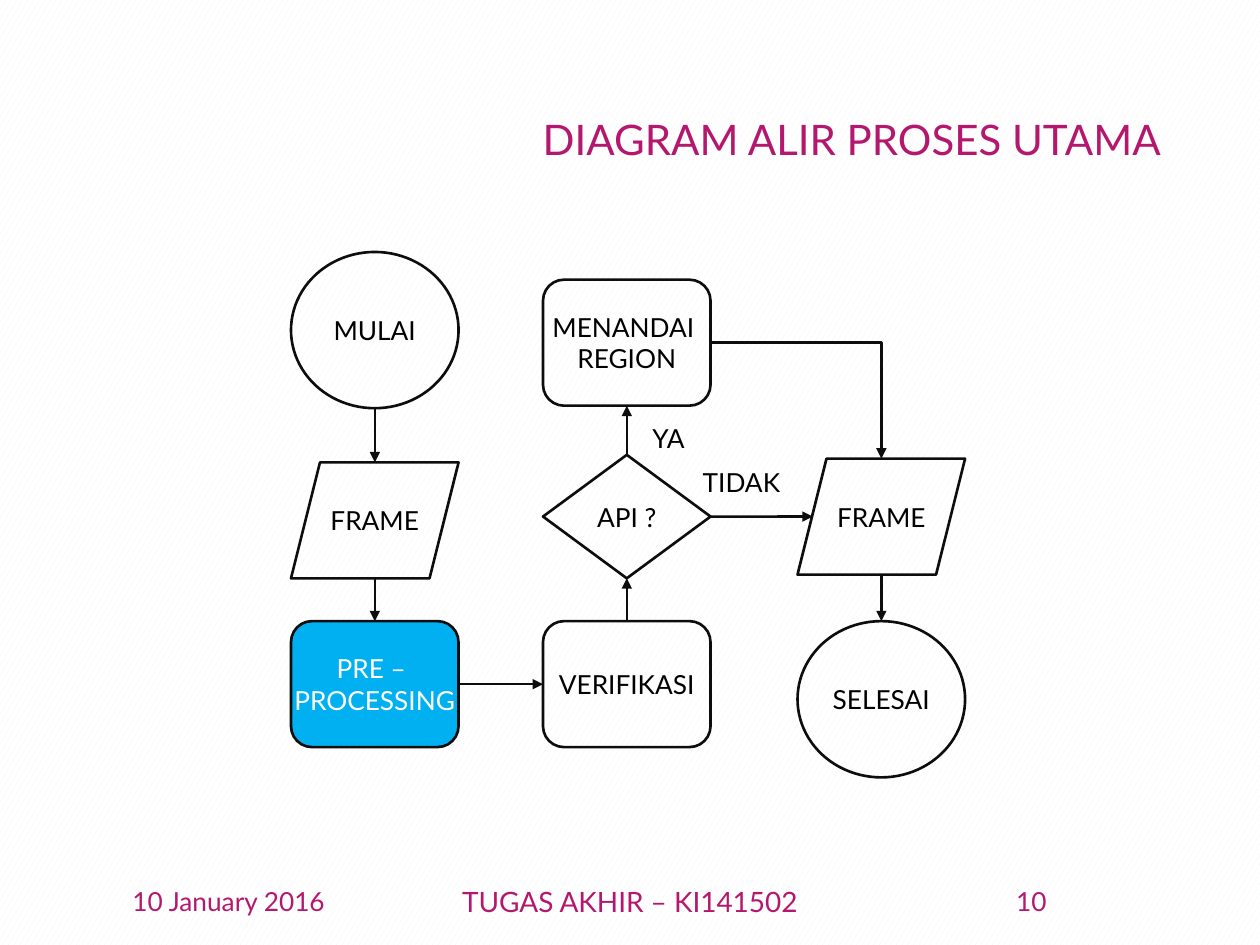
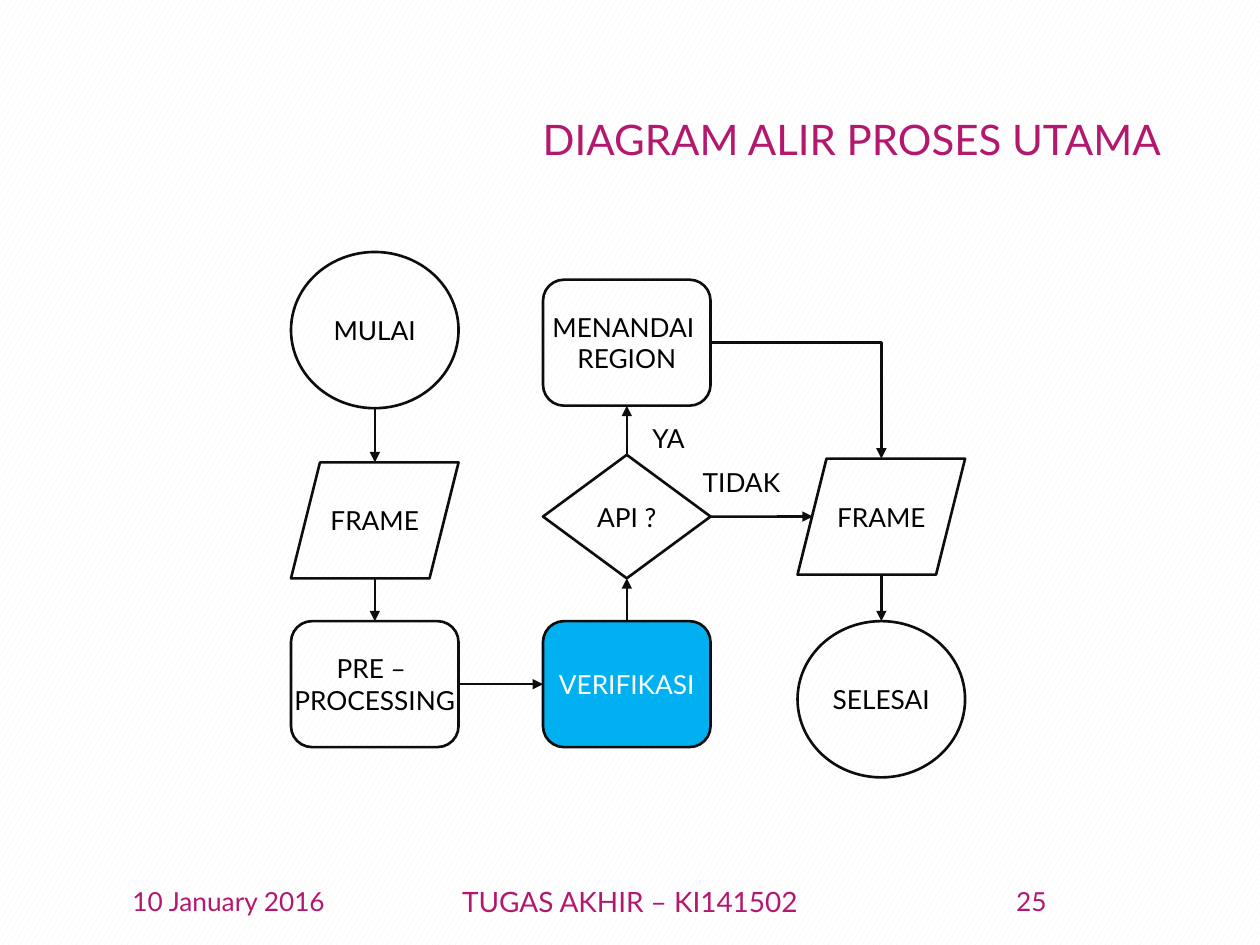
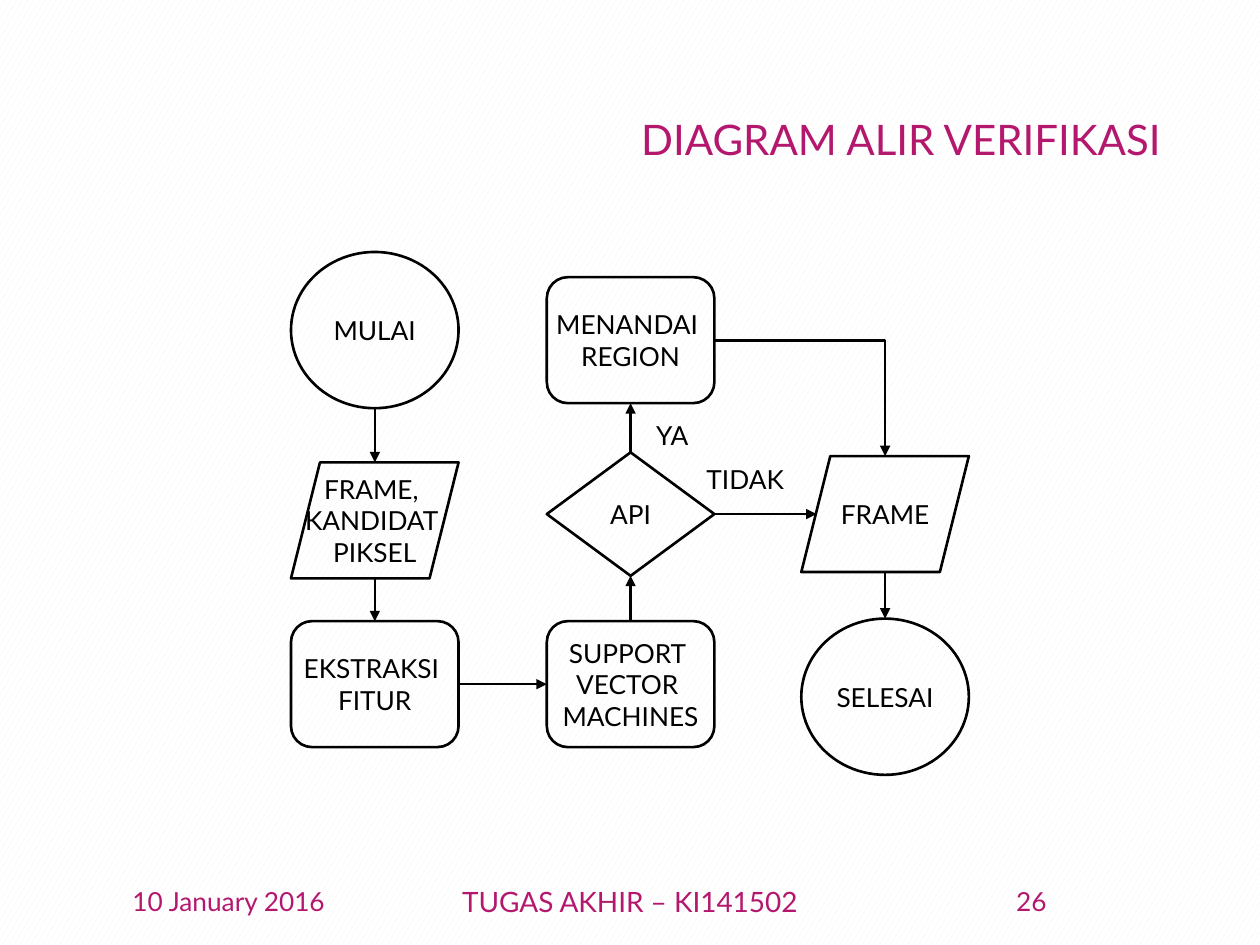
import pptx
import pptx.dml.color
import pptx.enum.dml
import pptx.enum.shapes
import pptx.enum.text
import pptx.oxml
import pptx.oxml.ns
import pptx.util
from dataclasses import dataclass

Inches = pptx.util.Inches
SHAPE = pptx.enum.shapes.MSO_SHAPE
CONNECTOR = pptx.enum.shapes.MSO_CONNECTOR
ALIGN = pptx.enum.text.PP_ALIGN
ANCHOR = pptx.enum.text.MSO_ANCHOR
AUTO_SIZE = pptx.enum.text.MSO_AUTO_SIZE
TOP, LEFT, BOTTOM, RIGHT = range(4)


@dataclass(frozen=True)
class Theme:
    font: str = "Lato"
    accent: str = "B4186E"
    ink: str = "000000"
    soft_ink: str = "0D0D0D"
    paper: str = "FFFFFF"
    confetti: str = "F2F2F2"
    highlight: str = "00B0F0"
    title_size: int = 24
    footer_size: int = 16
    body_size: int = 15
    line_width: float = 1.5


THEME = Theme()
TITLE_BOX = (0.69, 0.4, 8.62, 1.45)
FOOTER_BOX = (0.69, 6.95, 8.62, 0.4)
FLOW_BOX = (2.31, 2.0, 5.35, 4.17)

# Flow steps: outline, left and top within the flow, height
STEP_WIDTH = 1.33
SKEW = 0.12
STEPS = {
    "start": (SHAPE.OVAL, 0, 0, 1.24),
    "input": (SHAPE.PARALLELOGRAM, 0, 1.67, 0.92),
    "prepare": (SHAPE.ROUNDED_RECTANGLE, 0, 2.93, 1),
    "verify": (SHAPE.ROUNDED_RECTANGLE, 2, 2.93, 1),
    "decide": (SHAPE.DIAMOND, 2, 1.61, 0.98),
    "mark": (SHAPE.ROUNDED_RECTANGLE, 2, 0.22, 1),
    "output": (SHAPE.PARALLELOGRAM, 4.02, 1.64, 0.92),
    "end": (SHAPE.OVAL, 4.02, 2.93, 1.24),
}
ARROWS = [
    ("start", BOTTOM, "input", TOP),
    ("input", BOTTOM, "prepare", TOP),
    ("prepare", RIGHT, "verify", LEFT),
    ("verify", TOP, "decide", BOTTOM),
    ("decide", TOP, "mark", BOTTOM),
    ("mark", RIGHT, "output", TOP),
    ("decide", RIGHT, "output", LEFT),
    ("output", BOTTOM, "end", TOP),
]
ANSWERS = {"YA": (2.33, 1.3), "TIDAK": (2.91, 1.65)}
JOINED_OUTLINES = (SHAPE.ROUNDED_RECTANGLE, SHAPE.DIAMOND)

MAIN_LABELS = {
    "start": "MULAI", "input": "FRAME", "prepare": "PRE – \nPROCESSING",
    "verify": "VERIFIKASI", "decide": "API ?", "mark": "MENANDAI \nREGION",
    "output": "FRAME", "end": "SELESAI",
}
VERIFY_LABELS = MAIN_LABELS | {
    "input": "FRAME, \nKANDIDAT \nPIKSEL", "prepare": "EKSTRAKSI \nFITUR",
    "verify": "SUPPORT \nVECTOR \nMACHINES", "decide": "API",
}


def rgb(color):
    return pptx.dml.color.RGBColor.from_string(color)


def set_values(target, values):
    for name, value in values.items():
        setattr(target, name, value)


def write(frame, text, size, color, align=ALIGN.CENTER, spacing=None, **layout):
    set_values(frame, {"word_wrap": True, "vertical_anchor": ANCHOR.MIDDLE} | layout)
    frame.text = text
    for paragraph in frame.paragraphs:
        set_values(paragraph, {"alignment": align, "line_spacing": spacing})
        set_values(paragraph.font, {"name": THEME.font, "size": pptx.util.Pt(size)})
        paragraph.font.color.rgb = rgb(color)


def add_text(slide, box, text, size, color, **layout):
    area = slide.shapes.add_textbox(*map(Inches, box))
    write(area.text_frame, text, size, color, **layout)


def set_line(line, color):
    line.color.rgb = rgb(color)
    line.width = pptx.util.Pt(THEME.line_width)


def add_step(slide, outline, box, label, line_color, highlighted):
    step = slide.shapes.add_shape(outline, *map(Inches, box))
    step.shadow.inherit = False
    if highlighted:
        step.fill.solid()
        step.fill.fore_color.rgb = rgb(THEME.highlight)
    else:
        step.fill.background()
    set_line(step.line, line_color)
    write(step.text_frame, label, THEME.body_size,
          THEME.paper if highlighted else THEME.ink, word_wrap=False)
    return step


def side_point(step, side):
    middle_x, middle_y = step.left + step.width // 2, step.top + step.height // 2
    skew = Inches(SKEW) if step.auto_shape_type == SHAPE.PARALLELOGRAM else 0
    return {
        TOP: (middle_x, step.top),
        LEFT: (step.left + skew, middle_y),
        BOTTOM: (middle_x, step.top + step.height),
        RIGHT: (step.left + step.width - skew, middle_y),
    }[side]


def add_arrow(slide, source, source_side, target, target_side, color):
    bent = source_side == RIGHT and target_side == TOP
    arrow = slide.shapes.add_connector(
        CONNECTOR.ELBOW if bent else CONNECTOR.STRAIGHT,
        *side_point(source, source_side), *side_point(target, target_side))
    set_line(arrow.line, color)
    properties = arrow.element.spPr
    if bent:
        properties.find(pptx.oxml.ns.qn("a:prstGeom")).set("prst", "bentConnector2")
    else:
        if source.auto_shape_type in JOINED_OUTLINES:
            arrow.begin_connect(source, source_side)
        if target.auto_shape_type in JOINED_OUTLINES:
            arrow.end_connect(target, target_side)
    namespace = pptx.oxml.ns.nsdecls("a")
    properties.find(pptx.oxml.ns.qn("a:ln")).append(
        pptx.oxml.parse_xml(f'<a:tailEnd {namespace} type="triangle"/>'))
    properties.append(pptx.oxml.parse_xml(f"<a:effectLst {namespace}/>"))


def add_background(slide):
    fill = slide.background.fill
    fill.patterned()
    fill.pattern = pptx.enum.dml.MSO_PATTERN.LARGE_CONFETTI
    fill.fore_color.rgb = rgb(THEME.confetti)
    fill.back_color.rgb = rgb(THEME.paper)


def add_footer(slide, box, number):
    left, top, width, height = box
    side_width, center_width = 2.25, 3.38
    parts = [
        (0, side_width, "10 January 2016", THEME.body_size),
        ((width - center_width) / 2, center_width, "TUGAS AKHIR – KI141502",
         THEME.footer_size),
        (width - side_width, side_width, str(number), THEME.body_size),
    ]
    for offset, part_width, text, size in parts:
        add_text(slide, (left + offset, top, part_width, height), text, size, THEME.accent)


def add_flow(slide, box, labels, line_color, highlighted=None, shift=(0, 0)):
    left, top = box[:2]
    shift_x, shift_y = shift

    # Steps; the branch to the right of the first column may be shifted
    steps = {}
    for name, (outline, x, y, height) in STEPS.items():
        x += shift_x if x else 0
        y += shift_y if name in ("decide", "mark", "output", "end") else 0
        steps[name] = add_step(slide, outline, (left + x, top + y, STEP_WIDTH, height),
                               labels[name], line_color, name == highlighted)

    # Arrows
    for source, source_side, target, target_side in ARROWS:
        add_arrow(slide, steps[source], source_side, steps[target], target_side, line_color)

    # Answers beside the decision
    for answer, (x, y) in ANSWERS.items():
        add_text(slide, (left + x + shift_x, top + y + shift_y, STEP_WIDTH, 0.35),
                 answer, THEME.body_size, THEME.ink,
                 vertical_anchor=ANCHOR.TOP, auto_size=AUTO_SIZE.SHAPE_TO_FIT_TEXT)


def add_flow_slide(deck, title, number, **flow):
    slide = deck.slides.add_slide(deck.slide_layouts[6])
    add_background(slide)
    add_text(slide, TITLE_BOX, title, THEME.title_size, THEME.accent,
             align=ALIGN.RIGHT, spacing=0.9)
    add_footer(slide, FOOTER_BOX, number)
    add_flow(slide, FLOW_BOX, **flow)


def main():
    deck = pptx.Presentation()
    set_values(deck, {"slide_width": Inches(10), "slide_height": Inches(7.5)})
    for number, highlighted in ((10, "prepare"), (25, "verify")):
        add_flow_slide(deck, "DIAGRAM ALIR PROSES UTAMA", number, labels=MAIN_LABELS,
                       line_color=THEME.soft_ink, highlighted=highlighted)
    add_flow_slide(deck, "DIAGRAM ALIR VERIFIKASI", 26, labels=VERIFY_LABELS,
                   line_color=THEME.ink, shift=(0.03, -0.02))
    deck.save("out.pptx")


if __name__ == "__main__":
    main()
